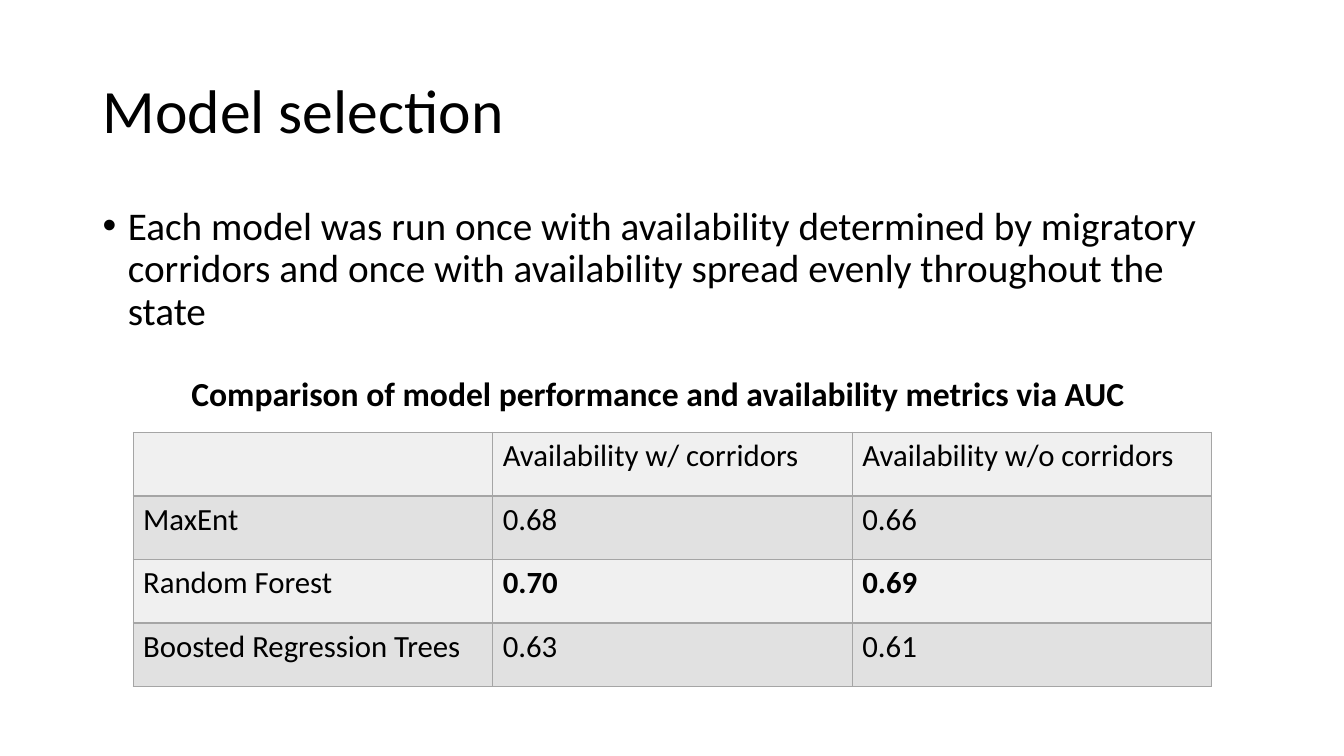
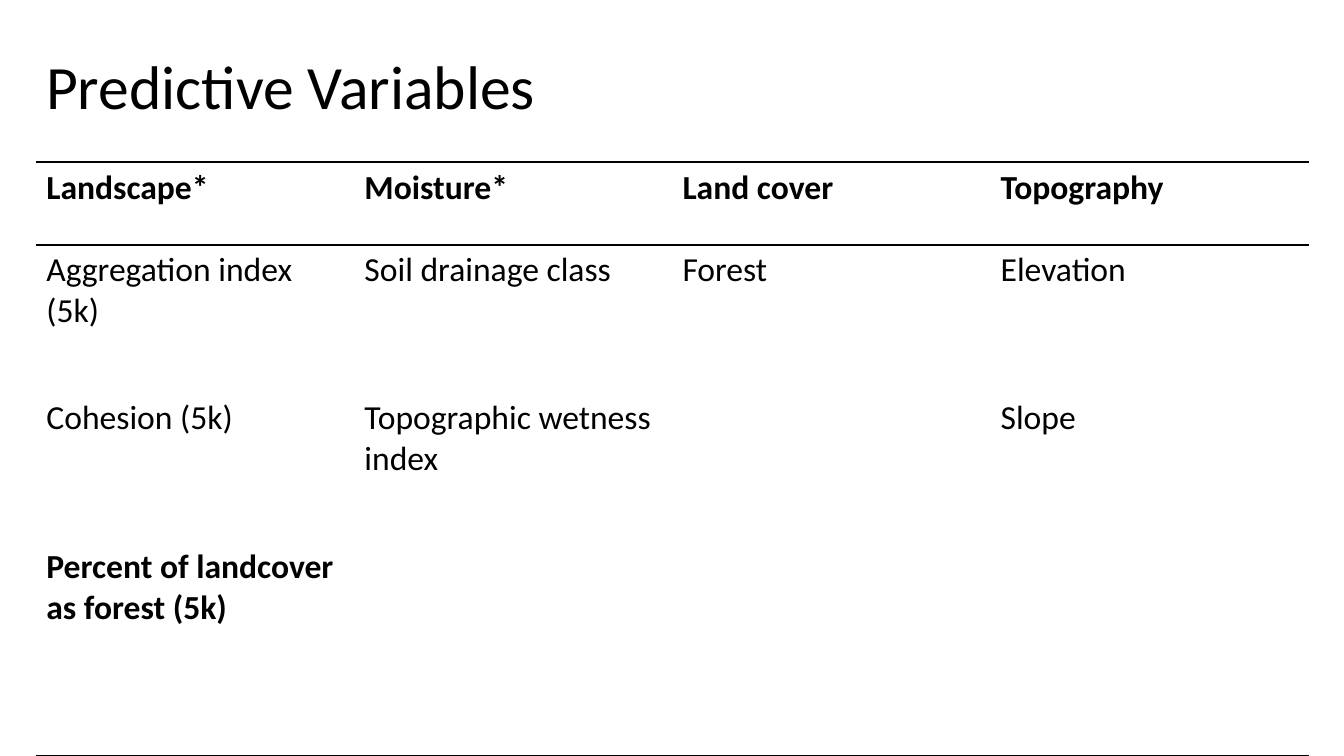
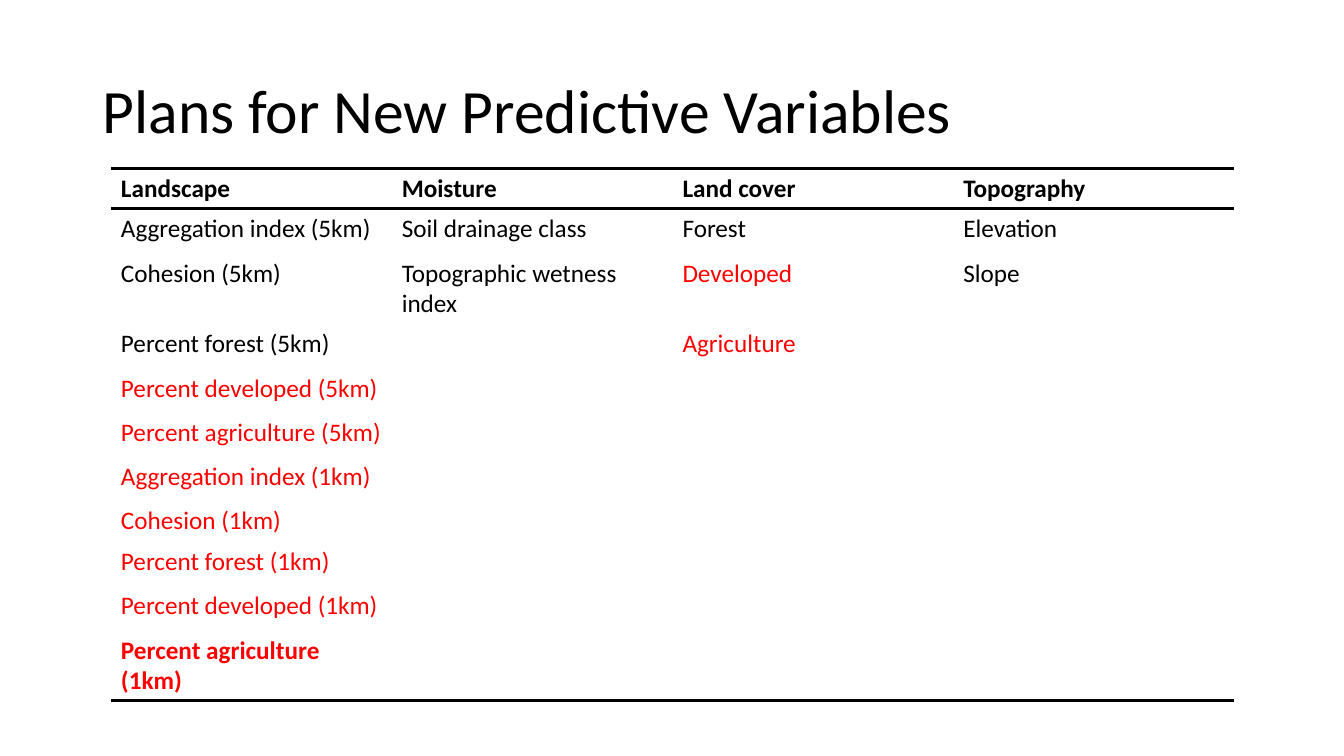
from dataclasses import dataclass
from itertools import zip_longest

from lxml.etree import SubElement
from pptx import Presentation
from pptx.dml.color import RGBColor
from pptx.enum.text import MSO_ANCHOR
from pptx.oxml.ns import qn
from pptx.util import Inches, Pt


@dataclass(frozen=True)
class Theme:
    """Colours, font and type sizes shared by the slides."""

    font: str = "Calibri"
    text: str = "000000"
    new: str = "FF0000"
    paper: str = "FFFFFF"
    grid: str = "A5A5A5"
    bands: tuple = ("F0F0F0", "E1E1E1")
    title: int = 44
    body: int = 28
    caption: int = 24
    grid_text: int = 22
    large_list: int = 24
    small_list: int = 18
    grid_line: float = 1
    rule_line: float = 2


THEME = Theme()


def apply_format(target, values):
    """Set each named format value on the target."""
    for name, value in values.items():
        setattr(target, name, value)


def write(paragraph, wording, size, bold=False, color=THEME.text):
    """Add one formatted run to a paragraph."""
    run = paragraph.add_run()
    run.text = wording
    apply_format(run.font, {"name": THEME.font, "size": Pt(size), "bold": bold})
    run.font.color.rgb = RGBColor.from_string(color)


def add_text(slide, box, wording, size, anchor=MSO_ANCHOR.TOP, spacing=None,
             bold=False, bullet=False):
    """Place a wrapped text box with one paragraph."""
    frame = slide.shapes.add_textbox(*map(Inches, box)).text_frame
    apply_format(frame, {"word_wrap": True, "vertical_anchor": anchor})
    paragraph = frame.paragraphs[0]
    if spacing:
        paragraph.line_spacing = spacing
    if bullet:
        add_bullet(paragraph)
    write(paragraph, wording, size, bold)


def add_bullet(paragraph):
    """Give a paragraph a hanging round bullet."""
    properties = paragraph._p.get_or_add_pPr()
    properties.set("marL", str(Inches(0.25)))
    properties.set("indent", str(-Inches(0.25)))
    SubElement(properties, qn("a:buFont")).set("typeface", "Arial")
    SubElement(properties, qn("a:buChar")).set("char", "•")


def add_title(slide, wording, left=0.92, top=0.4):
    """Place the slide title."""
    add_text(slide, (left, top, 11.5, 1.45), wording, THEME.title,
             MSO_ANCHOR.MIDDLE, 0.9)


def set_edge(cell, side, color, width):
    """Draw one cell edge, or clear it when no colour is given."""
    edge = SubElement(cell._tc.get_or_add_tcPr(), qn(f"a:ln{side}"))
    if color is None:
        SubElement(edge, qn("a:noFill"))
        return
    edge.set("w", str(Pt(width)))
    solid = SubElement(edge, qn("a:solidFill"))
    SubElement(solid, qn("a:srgbClr")).set("val", color)


def fill_cell(cell, color):
    """Fill a cell with one colour."""
    cell.fill.solid()
    cell.fill.fore_color.rgb = RGBColor.from_string(color)


def add_plain_table(slide, left, top, width, heights, rows, size, bold, new=()):
    """Add an unstyled table and write its words."""
    columns = len(rows[0])
    table = slide.shapes.add_table(
        len(rows), columns, Inches(left), Inches(top), Inches(width),
        Inches(sum(heights))).table
    apply_format(table, {"first_row": False, "horz_banding": False})
    for row, height in zip(table.rows, heights):
        row.height = Inches(height)
    for r, words in enumerate(rows):
        for c, wording in enumerate(words):
            if wording:
                color = THEME.new if wording in new else THEME.text
                write(table.cell(r, c).text_frame.paragraphs[0], wording, size,
                      wording in bold, color)
    return table


def add_grid_table(slide, left, top, width, heights, rows, bold):
    """Add a banded table with a line around every cell."""
    table = add_plain_table(slide, left, top, width, heights, rows,
                            THEME.grid_text, bold)
    for r, row in enumerate(table.rows):
        for cell in row.cells:
            for side in "LRTB":
                set_edge(cell, side, THEME.grid, THEME.grid_line)
            fill_cell(cell, THEME.bands[r % 2])


def add_ruled_table(slide, left, top, width, heights, groups, size, new=()):
    """Add variables in columns, ruled above and below the header and at the end."""
    rows = list(zip_longest(*([name, *members] for name, members in groups.items()),
                            fillvalue=""))
    bold = {*rows[0], *rows[-1]}
    table = add_plain_table(slide, left, top, width, heights, rows, size, bold, new)
    ruled = {0, 1, len(rows)}
    for r, row in enumerate(table.rows):
        for cell in row.cells:
            for side, boundary in (("L", None), ("R", None), ("T", r), ("B", r + 1)):
                color = THEME.text if boundary in ruled else None
                set_edge(cell, side, color, THEME.rule_line)
            fill_cell(cell, THEME.paper)


def build_model_selection(slide):
    """Compare the models by AUC."""
    add_title(slide, "Model selection")
    add_grid_table(slide, 1.32, 4.29, 10.7, [0.63] * 4, [
        ("", "Availability w/ corridors", "Availability w/o corridors"),
        ("MaxEnt", "0.68", "0.66"),
        ("Random Forest", "0.70", "0.69"),
        ("Boosted Regression Trees", "0.63", "0.61"),
    ], bold={"0.70", "0.69"})
    add_text(slide, (0.92, 2, 11.5, 1.45),
             "Each model was run once with availability determined by migratory "
             "corridors and once with availability spread evenly throughout the state",
             THEME.body, spacing=0.9, bullet=True)
    add_text(slide, (1.8, 3.65, 9.73, 0.5),
             "Comparison of model performance and availability metrics via AUC",
             THEME.caption, bold=True)


def build_predictive_variables(slide):
    """List the variables in use."""
    add_title(slide, "Predictive Variables", 0.36, 0.16)
    add_ruled_table(slide, 0.36, 1.61, 12.62, [0.82, 1.47, 1.47, 2.13], {
        "Landscape*": ["Aggregation index (5k)", "Cohesion (5k)",
                       "Percent of landcover as forest (5k)"],
        "Moisture*": ["Soil drainage class", "Topographic wetness index"],
        "Land cover": ["Forest"],
        "Topography": ["Elevation", "Slope"],
    }, THEME.large_list)


def build_new_variables(slide):
    """List the planned variables, with new ones in red."""
    add_title(slide, "Plans for New Predictive Variables")
    current = ["Aggregation index (5km)", "Cohesion (5km)", "Percent forest (5km)"]
    planned = ["Percent developed (5km)", "Percent agriculture (5km)",
               "Aggregation index (1km)", "Cohesion (1km)", "Percent forest (1km)",
               "Percent developed (1km)", "Percent agriculture (1km)"]
    planned_cover = ["Developed", "Agriculture"]
    heights = [0.37, 0.44, 0.66, *[0.44] * 4, 0.37, *[0.44] * 3]
    add_ruled_table(slide, 1.1, 1.67, 11.14, heights, {
        "Landscape": current + planned,
        "Moisture": ["Soil drainage class", "Topographic wetness index"],
        "Land cover": ["Forest", *planned_cover],
        "Topography": ["Elevation", "Slope"],
    }, THEME.small_list, new={*planned, *planned_cover})


def main():
    """Build and save the presentation."""
    deck = Presentation()
    apply_format(deck, {"slide_width": Inches(13.33), "slide_height": Inches(7.5)})
    for build in (build_model_selection, build_predictive_variables,
                  build_new_variables):
        build(deck.slides.add_slide(deck.slide_layouts[6]))
    deck.save("out.pptx")


if __name__ == "__main__":
    main()
